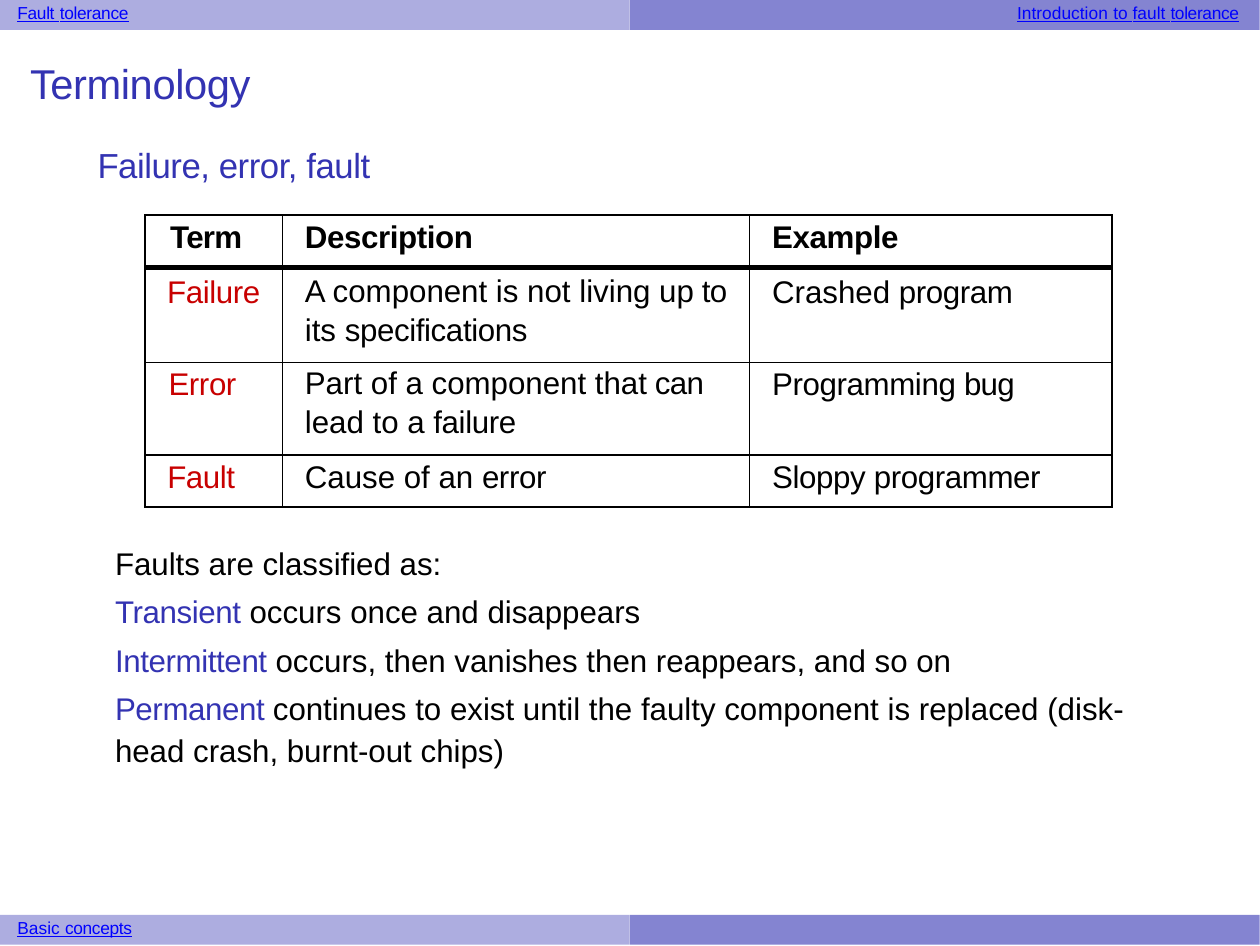
from lxml import etree
from pptx import Presentation
from pptx import util as u
from pptx.dml.color import RGBColor
from pptx.enum import shapes, text
from pptx.oxml.ns import qn

BLACK = RGBColor(0, 0, 0)
LINK = RGBColor(0, 0, 0xFF)
BLUE = RGBColor(0x33, 0x33, 0xB2)
RED = RGBColor(0xC8, 0, 0)
PALE = RGBColor(0xAD, 0xAD, 0xE0)
DEEP = RGBColor(0x84, 0x84, 0xD1)

PAGE = (363, 272.5)  # points
HALF, BAR, FOOT = 2.52, 0.12, 3.66
LEAD = 1.12

# A run is (words, letter spacing in points).
LINKS = [
    ((0.06, 0, 0.48, 0.11), [("Fault", -0.1), (" ", 0.1), ("tolerance", -0.1)]),
    ((4.06, 0, 0.92, 0.11), [("Introduction", 0), (" ", -0.2), ("to", 0), (" ", -0.2),
                             ("fault", 0), (" ", -0.2), ("tolerance", -0.1)]),
    ((0.06, FOOT, 0.49, 0.11), [("Basic", 0), (" ", -0.2), ("concepts", -0.1)]),
]
TITLE = ("Terminology", -0.1)
TOPIC = ("Failure, error, fault", -0.1)
COLS = [0.55, 1.87, 1.45]
ROWS = [0.21, 0.38, 0.37, 0.21]
PADS = [0.06, 0, 0.09, 0.1]  # right of each term
TERMS = [
    [[("Term", -0.2)], [("Description", -0.1)], [("Example", -0.1)]],
    [[("Failure", -0.1)],
     [("A component is not living up", 0), (" to ", -0.2), ("its ", 0),
      ("specifications", -0.1)],
     [("Crashed ", 0), ("program", -0.1)]],
    [[("Error", -0.1)],
     [("Part of a component that", 0), (" can ", -0.2), ("lead to a ", 0),
      ("failure", -0.1)],
     [("Programming ", -0.1), ("bug", -0.2)]],
    [[("Fault", -0.1)],
     [("Cause of an ", 0), ("error", -0.1)],
     [("Sloppy programmer", -0.1)]],
]
INTRO = "Faults are classified as:"
KINDS = [
    ("Transient", " occurs once and disappears"),
    ("Intermittent", " occurs, then vanishes then reappears, and so on"),
    ("Permanent ", "continues to exist until the faulty component is replaced "
                   "(disk-head crash, burnt-out chips)"),
]


def add_bar(page, left, top, color):
    bar = page.shapes.add_shape(shapes.MSO_SHAPE.RECTANGLE, u.Inches(left),
                                u.Inches(top), u.Inches(HALF), u.Inches(BAR))
    bar.shadow.inherit = False
    bar.fill.solid()
    bar.fill.fore_color.rgb = color
    bar.line.fill.background()


def add_box(page, place, top=0.01):
    frame = page.shapes.add_textbox(*map(u.Inches, place)).text_frame
    frame.word_wrap = True
    frame.margin_left = frame.margin_right = frame.margin_bottom = 0
    frame.margin_top = u.Inches(top)
    return frame


def indent(par, left):
    par._p.get_or_add_pPr().set("marL", str(u.Inches(left)))


def add_run(par, words, gap, size, color, bold=False, under=False):
    run = par.add_run()
    run.text = words
    font = run.font
    font.name, font.size, font.bold = "Arial", u.Pt(size), bold
    font.color.rgb = color
    if under:
        font.underline = True
    run._r.get_or_add_rPr().set("spc", str(round(gap * 100)))


def add_edges(cell, row):
    """Rule all four sides, with a thick line under the header row."""
    props = cell._tc.get_or_add_tcPr()
    heavy = {(0, "B"), (1, "T")}
    for spot, side in enumerate("LRTB"):
        width = 1.5 if (row, side) in heavy else 0.5
        line = etree.Element(qn("a:ln" + side), w=str(u.Pt(width)))
        fill = etree.SubElement(line, qn("a:solidFill"))
        etree.SubElement(fill, qn("a:srgbClr"), val=str(BLACK))
        props.insert(spot, line)


def add_terms(page):
    table = page.shapes.add_table(len(ROWS), len(COLS), u.Inches(0.58), u.Inches(0.86),
                                  u.Inches(sum(COLS)), u.Inches(sum(ROWS))).table
    table.first_row = table.horz_banding = False
    for col, width in zip(table.columns, COLS):
        col.width = u.Inches(width)
    for r, (cells, height) in enumerate(zip(TERMS, ROWS)):
        table.rows[r].height = u.Inches(height)
        for c, runs in enumerate(cells):
            cell = table.cell(r, c)
            tall = c == 1 and r in (1, 2)
            top = (0.01 if r == 1 else 0) if tall else (0.03 if r == 1 else 0.02)
            cell.margin_left = cell.margin_right = cell.margin_bottom = 0
            cell.margin_top = u.Inches(top)
            cell.fill.background()
            add_edges(cell, r)
            par = cell.text_frame.paragraphs[0]
            if c == 0:
                par.alignment = text.PP_ALIGN.CENTER
                cell.margin_right = u.Inches(PADS[r])
            else:
                indent(par, 0.09)
            if tall:
                par.line_spacing = LEAD
            for words, gap in runs:
                add_run(par, words, gap, 9, RED if r and c == 0 else BLACK, bold=r == 0)


def add_kinds(page):
    frame = add_box(page, (0.44, 2.13, 4.31, 0.95), top=0.03)
    add_run(frame.paragraphs[0], INTRO, 0, 9, BLACK)
    for name, words in KINDS:
        par = frame.add_paragraph()
        par.space_before = u.Pt(1.8)
        add_run(par, name, -0.1, 9, BLUE)
        add_run(par, words, 0, 9, BLACK)
    for par in frame.paragraphs:
        indent(par, 0.02)
        par.line_spacing = LEAD


def main():
    deck = Presentation()
    deck.slide_width, deck.slide_height = map(u.Pt, PAGE)
    page = deck.slides.add_slide(deck.slide_layouts[6])
    for top in (0, FOOT):
        add_bar(page, 0, top, PALE)
        add_bar(page, HALF, top, DEEP)
    for place, runs in LINKS:
        par = add_box(page, place).paragraphs[0]
        indent(par, 0.01)
        for words, gap in runs:
            add_run(par, words, gap, 5, LINK, under=True)

    head = add_box(page, (0.1, 0.22, 1.41, 0.54))
    indent(head.paragraphs[0], 0.02)
    add_run(head.paragraphs[0], *TITLE, 12, BLUE)
    topic = head.add_paragraph()
    indent(topic, 0.29)
    topic.space_before = u.Pt(10.6)
    add_run(topic, *TOPIC, 10, BLUE)

    add_terms(page)
    add_kinds(page)
    deck.save("out.pptx")


if __name__ == "__main__":
    main()
